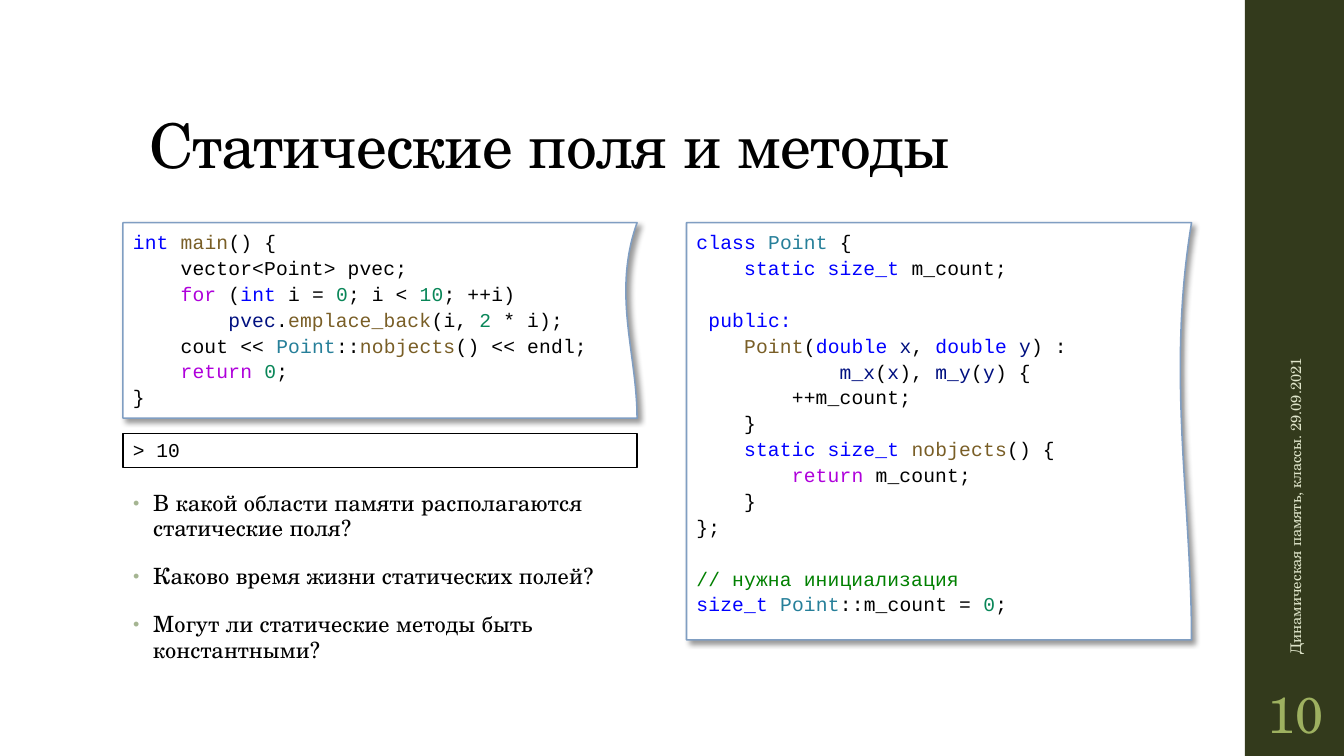
from lxml.etree import SubElement
from pptx import Presentation
from pptx.dml.color import RGBColor
from pptx.enum.shapes import MSO_SHAPE as Preset
from pptx.enum.text import MSO_ANCHOR as Anchor, MSO_AUTO_SIZE as Fit, PP_ALIGN as Align
from pptx.oxml.ns import qn
from pptx.util import Emu, Inches, Pt

INK = RGBColor(0x00, 0x00, 0x00)
PAPER = RGBColor(0xFF, 0xFF, 0xFF)
OLIVE = RGBColor(0x33, 0x3A, 0x1C)
PALE = RGBColor(0xDF, 0xE5, 0xCA)
LEAF = RGBColor(0x9E, 0xB1, 0x60)
BULLET = RGBColor(0xA5, 0xB5, 0x92)
FRAME = RGBColor(0x80, 0x9E, 0xC2)
KEYWORD = RGBColor(0x00, 0x00, 0xFF)
CONTROL = RGBColor(0xAF, 0x00, 0xDB)
TYPE = RGBColor(0x26, 0x7F, 0x99)
FUNCTION = RGBColor(0x79, 0x5E, 0x26)
VARIABLE = RGBColor(0x00, 0x10, 0x80)
NUMBER = RGBColor(0x09, 0x86, 0x58)
COMMENT = RGBColor(0x00, 0x80, 0x00)

SERIF = "TeX Gyre Schola"
MONO = "Courier New"
COLUMNS, ROWS = 133.33, 75
LEFT, TOP, PANEL_WIDTH = 12.2, 22.1, 51
BAR_LEFT, BAR_WIDTH = 123.5, 10
CODE_SIZE, CODE_CHAR, CODE_LINE = 14, 8.52, 18.5
CURVE_STEPS = 40

MAIN_CODE = [
    (0, KEYWORD, "int ", FUNCTION, "main", INK, "() {"),
    (4, INK, "vector<Point> pvec;"),
    (4, CONTROL, "for", INK, " (", KEYWORD, "int", INK, " i = ", NUMBER, "0",
     INK, "; i < ", NUMBER, "10", INK, "; ++i)"),
    (8, VARIABLE, "pvec", INK, ".", FUNCTION, "emplace_back", INK, "(i, ",
     NUMBER, "2 ", INK, "* i);"),
    (4, INK, "cout << ", TYPE, "Point", INK, "::", FUNCTION, "nobjects",
     INK, "() << endl;"),
    (4, CONTROL, "return ", NUMBER, "0", INK, ";"),
    (0, INK, "}"),
]
CLASS_CODE = [
    (0, KEYWORD, "class ", TYPE, "Point", INK, " {"),
    (4, KEYWORD, "static size_t ", INK, "m_count;"),
    (1, KEYWORD, "public:"),
    (4, FUNCTION, "Point", INK, "(", KEYWORD, "double ", VARIABLE, "x", INK, ", ",
     KEYWORD, "double ", VARIABLE, "y", INK, ") :"),
    (12, VARIABLE, "m_x", INK, "(", VARIABLE, "x", INK, "), ",
     VARIABLE, "m_y", INK, "(", VARIABLE, "y", INK, ") {"),
    (8, INK, "++m_count;"),
    (4, INK, "}"),
    (4, KEYWORD, "static size_t ", FUNCTION, "nobjects", INK, "() {"),
    (8, CONTROL, "return ", INK, "m_count;"),
    (4, INK, "}"),
    (0, INK, "};"),
    (0, COMMENT, "// нужна инициализация"),
    (0, KEYWORD, "size_t ", TYPE, "Point", INK, "::m_count = ", NUMBER, "0", INK, ";"),
]
QUESTIONS = [
    "В какой области памяти располагаются статические поля?",
    "Каково время жизни статических полей?",
    "Могут ли статические методы быть константными?",
]


def add_span(para, text, *, size, font=SERIF, color=INK, tracking=0):
    span = para.add_run()
    span.text = text
    span.font.size = Pt(size)
    span.font.name = font
    span.font.color.rgb = color
    if tracking:
        span.font._element.set("spc", str(round(tracking * 100)))


class Page:
    def __init__(self, deck):
        self.cell = deck.slide_width / COLUMNS
        self.slide = deck.slides.add_slide(deck.slide_layouts[1])
        self.shapes = self.slide.shapes

    def grid(self, *cells):
        return [Emu(round(value * self.cell)) for value in cells]

    def place(self, box, cells):
        box.left, box.top, box.width, box.height = self.grid(*cells)

    def frame(self, box, anchor=Anchor.TOP, fit=Fit.NONE):
        frame = box.text_frame
        frame.word_wrap = True
        frame.auto_size = fit
        frame.vertical_anchor = anchor
        return frame

    def paras(self, frame, count):
        return [frame.paragraphs[0]] + [frame.add_paragraph() for _ in range(count - 1)]

    def paint(self, box, fill, line=None):
        box.fill.solid()
        box.fill.fore_color.rgb = fill
        if line is None:
            box.line.fill.background()
        else:
            box.line.color.rgb = line
            box.line.width = Pt(1.1)
        box.shadow.inherit = False

    def bar(self, *cells):
        self.paint(self.shapes.add_shape(Preset.RECTANGLE, *self.grid(*cells)), OLIVE)

    def title(self, text, *cells):
        box = self.shapes.title
        self.place(box, cells)
        para = self.frame(box, Anchor.BOTTOM).paragraphs[0]
        para.alignment = Align.LEFT
        para.line_spacing = 0.9
        add_span(para, text, size=44, tracking=-0.5)

    def bullets(self, items, *cells):
        box = self.slide.placeholders[1]
        self.place(box, cells)
        for para, item in zip(self.paras(self.frame(box), len(items)), items):
            para.line_spacing = 0.95
            para.space_before, para.space_after = Pt(14), Pt(2)
            props = para._p.get_or_add_pPr()
            props.set("marL", str(Inches(0.2)))
            props.set("indent", str(Inches(-0.2)))
            color = SubElement(props, qn("a:buClr"))
            SubElement(color, qn("a:srgbClr"), val=str(BULLET))
            SubElement(props, qn("a:buSzPct"), val="80000")
            SubElement(props, qn("a:buChar"), char="•")
            add_span(para, item, size=16, tracking=0.1)

    def label(self, text, *cells, align=Align.LEFT, turn=0, inset=None, **style):
        box = self.shapes.add_textbox(*self.grid(*cells))
        box.rotation = turn
        frame = self.frame(box, Anchor.MIDDLE)
        if inset is not None:
            frame.margin_left = frame.margin_right = Inches(inset)
        para = frame.paragraphs[0]
        para.alignment = align
        add_span(para, text, **style)

    def console(self, text, *cells):
        box = self.shapes.add_shape(Preset.RECTANGLE, *self.grid(*cells))
        self.paint(box, PAPER, INK)
        para = self.frame(box, fit=Fit.SHAPE_TO_FIT_TEXT).paragraphs[0]
        para.alignment = Align.LEFT
        add_span(para, text, size=CODE_SIZE, font=MONO)

    def sheet(self, left, top, width, height):
        right, bend = left + width, 2.5
        outline = [(right, top)]
        for step in range(1, CURVE_STEPS + 1):
            t = step / CURVE_STEPS
            pull, drop = 3 * t * (1 - t) ** 2, 3 * t ** 2 * (1 - t)
            outline.append((right - bend * pull,
                            top + height * (0.365 * pull + 0.667 * drop + t ** 3)))
        outline.append((left, top + height))
        builder = self.shapes.build_freeform(*self.grid(left, top))
        builder.add_line_segments([self.grid(*point) for point in outline], close=True)
        box = builder.convert_to_shape()
        self.paint(box, PAPER, FRAME)
        effects = box._element.spPr.find(qn("a:effectLst"))
        shadow = SubElement(effects, qn("a:outerShdw"), blurRad=str(Pt(4)),
                            dist=str(Pt(3)), dir="2700000", algn="tl", rotWithShape="0")
        tint = SubElement(shadow, qn("a:srgbClr"), val=str(INK))
        SubElement(tint, qn("a:alpha"), val="40000")
        return box

    def code(self, lines, *cells, spaced=()):
        frame = self.frame(self.sheet(*cells))
        for number, para in enumerate(self.paras(frame, len(lines))):
            indent, *parts = lines[number]
            para.alignment = Align.LEFT
            para.line_spacing = 1.1
            para.space_before = Pt(CODE_LINE if number in spaced else 0)
            para._p.get_or_add_pPr().set("marL", str(Pt(indent * CODE_CHAR)))
            for color, text in zip(parts[::2], parts[1::2]):
                add_span(para, text, size=CODE_SIZE, font=MONO, color=color, tracking=0.1)


def main():
    deck = Presentation()
    deck.slide_width, deck.slide_height = Inches(13.33), Inches(7.5)
    page = Page(deck)
    page.bar(BAR_LEFT, 0, BAR_WIDTH, ROWS)
    page.title("Статические поля и методы", 13.8, 4, 106, 14.5)
    page.bullets(QUESTIONS, LEFT, 48.2, 51.8, 19.3)
    page.label("Динамическая память, классы. 29.09.2021", 108.9, 44.3, 39.2, 4,
               turn=270, size=10.5, color=PALE)
    page.label("10", BAR_LEFT, 67.5, BAR_WIDTH, 6.5, align=Align.CENTER, inset=0.05,
               size=36, color=LEAF)
    page.code(CLASS_CODE, 68.1, TOP, 50.1, 41.4, spaced=(2, 11))
    page.code(MAIN_CODE, LEFT, TOP, PANEL_WIDTH, 19.4)
    page.console("> 10", LEFT, 43, PANEL_WIDTH, 3.4)
    deck.save("out.pptx")


if __name__ == "__main__":
    main()
